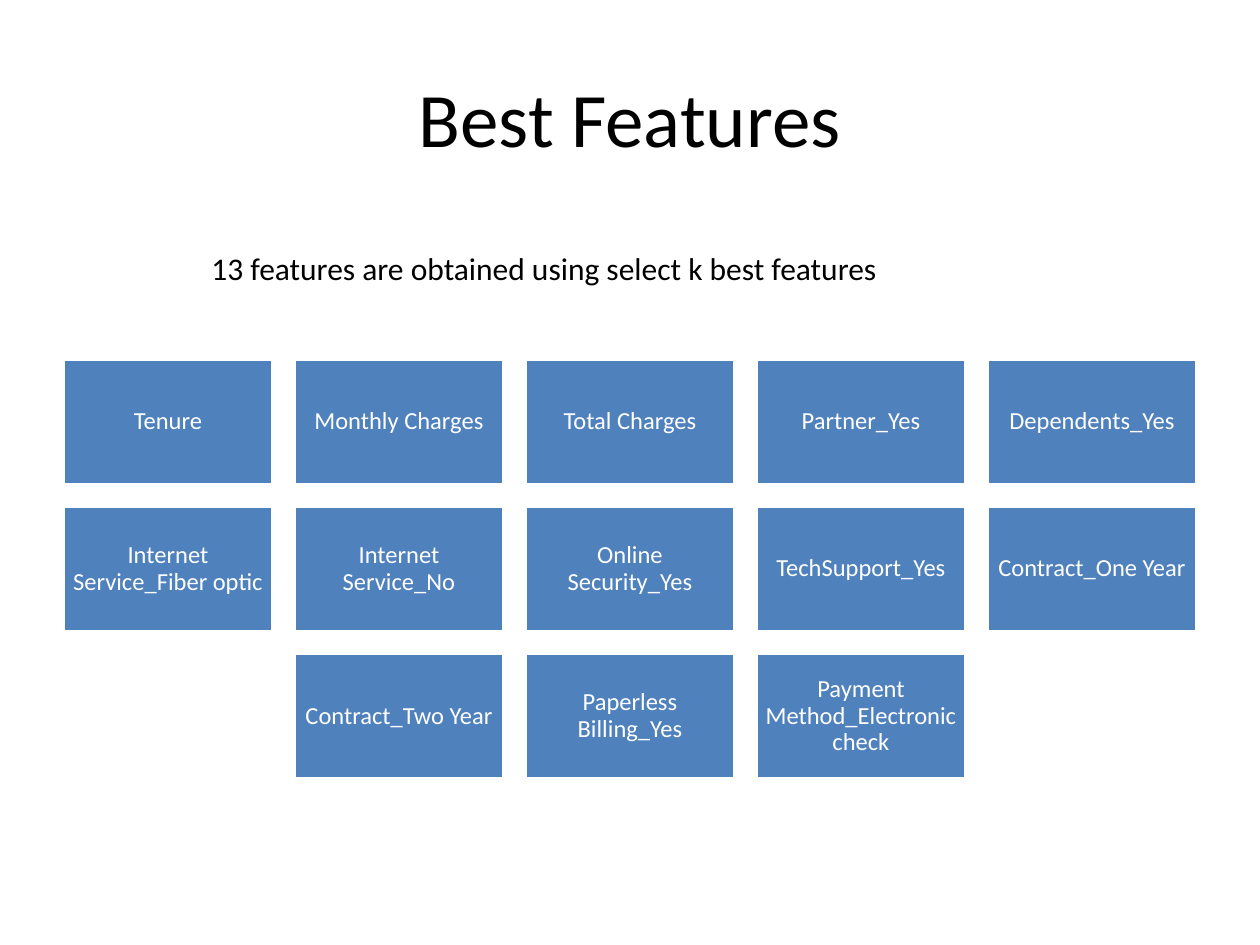
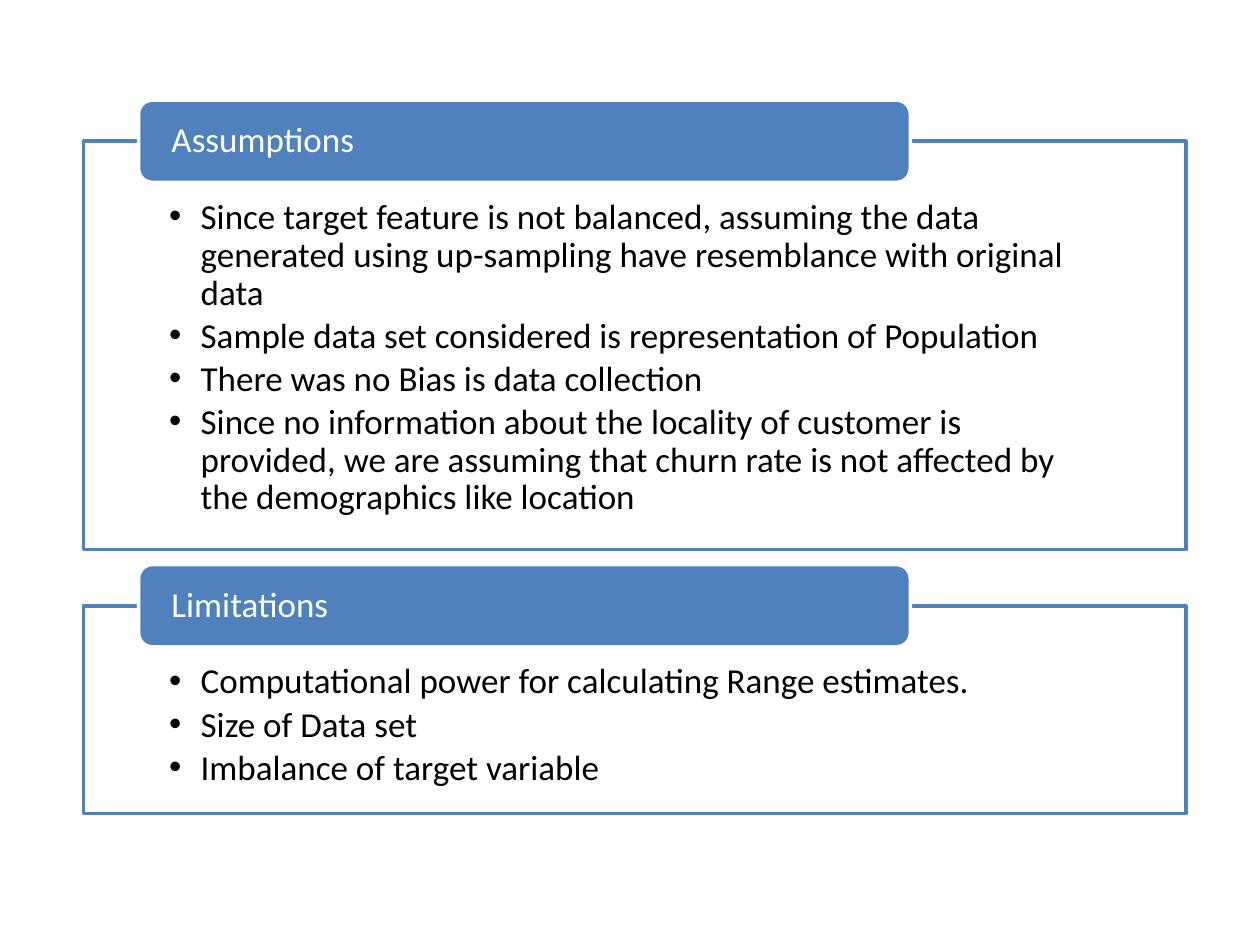
from dataclasses import dataclass

from lxml.etree import SubElement
from pptx import Presentation
from pptx.dml.color import RGBColor
from pptx.enum.shapes import MSO_SHAPE
from pptx.enum.text import MSO_ANCHOR, PP_ALIGN
from pptx.oxml.ns import qn
from pptx.util import Inches, Pt


@dataclass(frozen=True)
class Theme:
    font: str = "Calibri"
    accent: RGBColor = RGBColor(0x4F, 0x81, 0xBD)
    light: RGBColor = RGBColor(0xFF, 0xFF, 0xFF)
    dark: RGBColor = RGBColor(0, 0, 0)
    title: int = 44
    note: int = 18
    tile: int = 14
    panel: int = 20
    line: int = 2
    leading: float = 0.9
    bullet_gap: int = 3
    bullet_indent: float = 0.25


@dataclass(frozen=True)
class Box:
    x: float
    y: float
    w: float
    h: float


@dataclass(frozen=True)
class Style:
    size: int
    color: RGBColor
    align: PP_ALIGN = PP_ALIGN.LEFT
    anchor: MSO_ANCHOR = MSO_ANCHOR.MIDDLE
    insets: tuple = (0.1, 0.05, 0.1, 0.05)
    leading: float = 1.0
    bullets: bool = False


@dataclass(frozen=True)
class Grid:
    center: float
    top: float
    tile_w: float
    tile_h: float
    gap_x: float
    gap_y: float

    def row(self, index: int, count: int) -> list[Box]:
        pitch = self.tile_w + self.gap_x
        left = self.center - (count * pitch - self.gap_x) / 2
        y = self.top + index * (self.tile_h + self.gap_y)
        return [Box(left + i * pitch, y, self.tile_w, self.tile_h) for i in range(count)]


@dataclass(frozen=True)
class Panel:
    heading: str
    points: list[str]
    height: float


THEME = Theme()
TITLE = Style(THEME.title, THEME.dark, PP_ALIGN.CENTER)
NOTE = Style(THEME.note, THEME.dark, anchor=MSO_ANCHOR.TOP)
TILE = Style(THEME.tile, THEME.light, PP_ALIGN.CENTER,
             insets=(0.06,) * 4, leading=THEME.leading)
HEADING = Style(THEME.panel, THEME.light, insets=(0.23, 0, 0.23, 0),
                leading=THEME.leading)
POINTS = Style(THEME.panel, THEME.dark, anchor=MSO_ANCHOR.TOP,
               insets=(0.68, 0.46, 0.68, 0.16), leading=THEME.leading, bullets=True)

FEATURES = [
    ["Tenure", "Monthly Charges", "Total Charges", "Partner_Yes", "Dependents_Yes"],
    ["Internet Service_Fiber optic", "Internet Service_No", "Online Security_Yes",
     "TechSupport_Yes", "Contract_One Year"],
    ["Contract_Two Year", "Paperless Billing_Yes", "Payment Method_Electronic check"],
]
FEATURE_GRID = Grid(center=0.5, top=0.38, tile_w=1 / 6, tile_h=2 / 15,
                    gap_x=1 / 60, gap_y=1 / 45)

PANELS = [
    Panel("Assumptions", [
        "Since target feature is not balanced, assuming the data generated using "
        "up-sampling have resemblance with original data",
        "Sample data set considered is representation of Population",
        "There was no Bias is data collection",
        "Since no information about the locality of customer is provided, we are "
        "assuming that churn rate is not affected by the demographics like location",
    ], 0.432),
    Panel("Limitations", [
        "Computational power for calculating Range estimates.",
        "Size of Data set",
        "Imbalance of target variable",
    ], 0.22),
]

prs = Presentation()
prs.slide_width, prs.slide_height = Inches(10), Inches(7.5)


def place(box: Box) -> tuple[int, int, int, int]:
    return (round(box.x * prs.slide_width), round(box.y * prs.slide_height),
            round(box.w * prs.slide_width), round(box.h * prs.slide_height))


def add_bullet(p) -> None:
    p.level = 1
    p.space_after = Pt(THEME.bullet_gap)
    ppr = p._p.get_or_add_pPr()
    indent = Inches(THEME.bullet_indent)
    ppr.set("marL", str(indent))
    ppr.set("indent", str(-indent))
    SubElement(ppr, qn("a:buFont")).set("typeface", "Arial")
    SubElement(ppr, qn("a:buChar")).set("char", "•")


def write(sp, lines: list[str], style: Style) -> None:
    tf = sp.text_frame
    tf.word_wrap = True
    tf.vertical_anchor = style.anchor
    (tf.margin_left, tf.margin_top,
     tf.margin_right, tf.margin_bottom) = map(Inches, style.insets)
    for i, line in enumerate(lines):
        p = tf.add_paragraph() if i else tf.paragraphs[0]
        p.alignment = style.align
        p.line_spacing = style.leading
        if style.bullets:
            add_bullet(p)
        r = p.add_run()
        r.text = line
        r.font.name = THEME.font
        r.font.size = Pt(style.size)
        r.font.color.rgb = style.color


def add_text(s, box: Box, text: str, style: Style) -> None:
    write(s.shapes.add_textbox(*place(box)), [text], style)


def add_block(s, kind: MSO_SHAPE, box: Box, fill: RGBColor, line: RGBColor,
              lines: list[str], style: Style) -> None:
    sp = s.shapes.add_shape(kind, *place(box))
    sp.shadow.inherit = False
    sp.fill.solid()
    sp.fill.fore_color.rgb = fill
    sp.line.color.rgb = line
    sp.line.width = Pt(THEME.line)
    write(sp, lines, style)


def add_panel(s, panel: Panel, tab: Box, width: float) -> Box:
    left = tab.x - 0.05 * width
    body = Box(left, tab.y + tab.h / 2, width, panel.height)
    add_block(s, MSO_SHAPE.RECTANGLE, body, THEME.light, THEME.accent,
              panel.points, POINTS)
    add_block(s, MSO_SHAPE.ROUNDED_RECTANGLE, tab, THEME.accent, THEME.light,
              [panel.heading], HEADING)
    return body


def add_slide():
    return prs.slides.add_slide(prs.slide_layouts[6])


def build_features() -> None:
    s = add_slide()
    add_text(s, Box(0.05, 0.04, 0.9, 1 / 6), "Best Features", TITLE)
    for i, names in enumerate(FEATURES):
        for name, box in zip(names, FEATURE_GRID.row(i, len(names))):
            add_block(s, MSO_SHAPE.RECTANGLE, box, THEME.accent, THEME.light,
                      [name], TILE)
    add_text(s, Box(0.158, 0.257, 0.742, 0.054),
             "13 features are obtained using select k best features", NOTE)


def build_panels() -> None:
    s = add_slide()
    width, gap, y = 0.875, 0.016, 0.106
    for panel in PANELS:
        body = add_panel(s, panel, Box(0.11, y, 0.7 * width, 0.087), width)
        y = body.y + body.h + gap


build_features()
build_panels()
prs.save("out.pptx")
